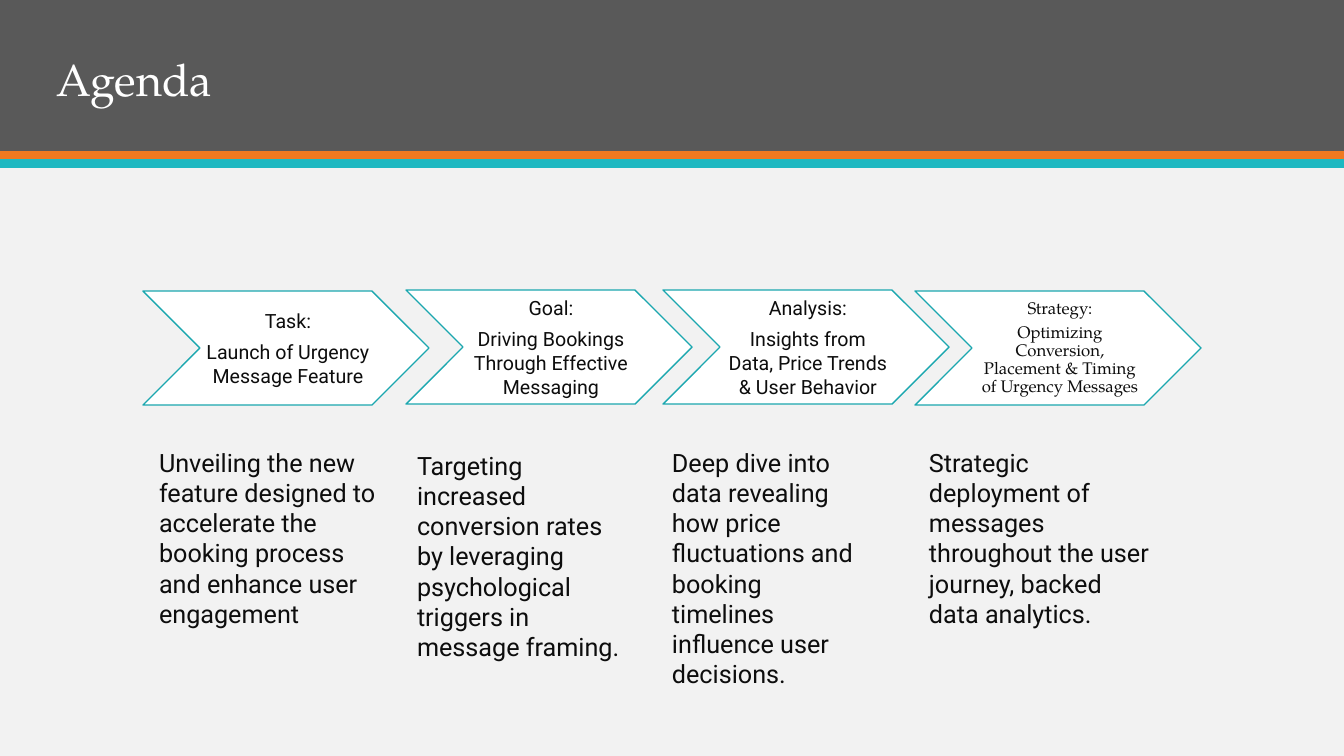
"""Build the Agenda slide: four chevron steps, each with a description below."""
from pptx import Presentation
from pptx.dml.color import RGBColor
from pptx.enum.shapes import MSO_SHAPE
from pptx.enum.text import MSO_ANCHOR, PP_ALIGN
from pptx.util import Pt

PX = 914400 / 100.8
SANS, SERIF = "Roboto", "TeX Gyre Pagella"
INK, WHITE = "0D0D0D", "FFFFFF"

TITLE = "Agenda"
BANDS = [(0, 151, "595959"), (151, 9, "EF7920"), (159, 9, "1EB8C1")]
STEPS = [
    dict(heading="Task:", topic="Launch of Urgency Message Feature",
         at=(143, 291), font=SANS, size=14, leading=1, gap=5.5,
         detail="Unveiling the new feature designed to accelerate the booking "
                "process and enhance user engagement",
         detail_box=(149, 442, 243, 194)),
    dict(heading="Goal:", topic="Driving Bookings Through Effective Messaging",
         at=(406, 290), font=SANS, size=14, leading=1, gap=5.5,
         detail="Targeting increased conversion rates by leveraging "
                "psychological triggers in message framing.",
         detail_box=(407, 445, 226, 224)),
    dict(heading="Analysis:", topic="Insights from Data, Price Trends & User Behavior",
         at=(663, 290), font=SANS, size=14, leading=1, gap=5.5,
         detail="Deep dive into data revealing how price fluctuations and "
                "booking timelines influence user decisions.",
         detail_box=(662, 442, 218, 224)),
    dict(heading="Strategy:",
         topic="Optimizing Conversion, Placement & Timing of Urgency Messages",
         at=(915, 291), font=SERIF, size=12, leading=0.9, gap=4,
         detail="Strategic deployment of messages throughout the user journey, "
                "backed data analytics.",
         detail_box=(919, 442, 243, 194)),
]
CHEVRON_WIDTH, CHEVRON_HEIGHT = 286, 114
NOTCH = CHEVRON_HEIGHT // 2


def px(length):
    return round(length * PX)


def color(value):
    return RGBColor.from_string(value)


def add_block(slide, kind, box, fill, outline=None):
    block = slide.shapes.add_shape(kind, *map(px, box))
    block.shadow.inherit = False
    block.fill.solid()
    block.fill.fore_color.rgb = color(fill)
    if outline:
        block.line.color.rgb = color(outline)
        block.line.width = Pt(1)
    else:
        block.line.fill.background()


def add_text(slide, box, lines, font, size, ink=INK, leading=1, gap=0,
             align=PP_ALIGN.LEFT, anchor=MSO_ANCHOR.TOP, insets=(10, 5, 10, 5)):
    frame = slide.shapes.add_textbox(*map(px, box)).text_frame
    frame.word_wrap = True
    frame.vertical_anchor = anchor
    (frame.margin_left, frame.margin_top,
     frame.margin_right, frame.margin_bottom) = map(px, insets)
    for index, line in enumerate(lines):
        paragraph = frame.add_paragraph() if index else frame.paragraphs[0]
        paragraph.alignment = align
        paragraph.line_spacing = leading
        if index:
            paragraph.space_before = Pt(gap)
        run = paragraph.add_run()
        run.text = line
        run.font.name = font
        run.font.size = Pt(size)
        run.font.color.rgb = color(ink)


def add_step(slide, step):
    left, top = step["at"]
    add_block(slide, MSO_SHAPE.CHEVRON,
              (left, top, CHEVRON_WIDTH, CHEVRON_HEIGHT), WHITE, "1BA7AF")
    add_text(slide, (left + NOTCH, top, CHEVRON_WIDTH - 2 * NOTCH, CHEVRON_HEIGHT),
             [step["heading"], step["topic"]], step["font"], step["size"],
             leading=step["leading"], gap=step["gap"], align=PP_ALIGN.CENTER,
             anchor=MSO_ANCHOR.MIDDLE, insets=(6, 2, 2, 2))
    add_text(slide, step["detail_box"], [step["detail"]], SANS, 18)


def main():
    deck = Presentation()
    deck.slide_width, deck.slide_height = px(1344), px(756)
    slide = deck.slides.add_slide(deck.slide_layouts[6])
    slide.background.fill.solid()
    slide.background.fill.fore_color.rgb = color("F2F2F2")
    for top, height, fill in BANDS:
        add_block(slide, MSO_SHAPE.RECTANGLE, (0, top, 1344, height), fill)
    add_text(slide, (47, 40, 1058, 71), [TITLE], SERIF, 32, WHITE,
             leading=0.9, anchor=MSO_ANCHOR.BOTTOM)
    for step in STEPS:
        add_step(slide, step)
    deck.save("out.pptx")


if __name__ == "__main__":
    main()
